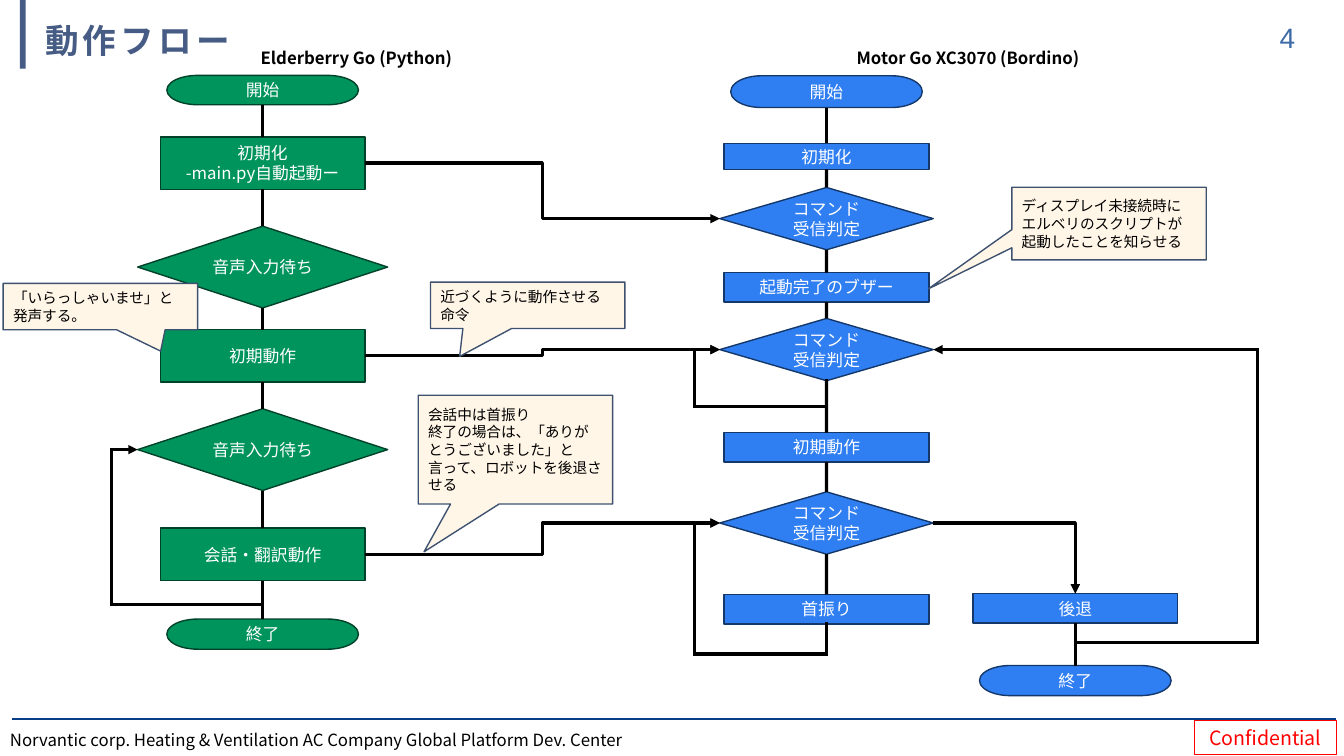
from dataclasses import dataclass
from itertools import pairwise

from lxml.etree import SubElement
from pptx import Presentation
from pptx.dml.color import RGBColor
from pptx.enum.shapes import MSO_CONNECTOR as Link, MSO_SHAPE as Shape
from pptx.enum.text import MSO_ANCHOR as Anchor, PP_ALIGN as Align
from pptx.oxml.ns import qn
from pptx.util import Cm, Pt


@dataclass(frozen=True)
class Theme:
    heading_font: str = "Arial"
    body_font: str = "Noto Sans CJK JP"
    title: str = "475C84"
    accent_bar: str = "475C85"
    page: str = "3E6AA8"
    rule: str = "093D88"
    alert: str = "FF0000"
    ink: str = "000000"
    light: str = "FFFFFF"
    host: tuple = ("00945D", "004129")
    board: tuple = ("307FF2", "15386A")
    note: tuple = ("FFF6E8", "3E5270")
    title_size: float = 24
    page_size: float = 20
    stamp_size: float = 14
    text_size: float = 12
    note_size: float = 10.5
    flow_width: float = 2.25
    rule_width: float = 1.5
    outline_width: float = 1
    stamp_width: float = 0.75


THEME = Theme()
TOP, LEFT, BOTTOM, RIGHT = range(4)
HOST_X, BOARD_X, RETREAT_X = 6.62, 20.83, 27.1
TERMINAL_W, STEP_W, HOST_CHECK_W, BOARD_CHECK_W = 4.83, 5.16, 6.3, 5.38
HOST_STEP_H, HOST_CHECK_H, BOARD_STEP_H, BOARD_CHECK_H = 1.32, 2.06, 0.74, 1.57


def color(code):
    return RGBColor.from_string(code)


def write(frame, text, size, ink, font=THEME.body_font, bold=False, align=Align.LEFT):
    frame.word_wrap = True
    frame.text = text
    for paragraph in frame.paragraphs:
        paragraph.alignment = align
        for run in paragraph.runs:
            run.font.name = font
            run.font.size = Pt(size)
            run.font.bold = bold
            run.font.color.rgb = color(ink)
            SubElement(run.font._element, qn("a:ea"), typeface=font)


def add_label(slide, box, text, size, ink, **style):
    label = slide.shapes.add_textbox(*map(Cm, box))
    write(label.text_frame, text, size, ink, **style)


def add_box(slide, kind, box, fill=None, outline=None, width=THEME.outline_width):
    """Add a flat shape; fill or outline left as None is not painted."""
    shape = slide.shapes.add_shape(kind, *map(Cm, box))
    shape.shadow.inherit = False
    if fill:
        shape.fill.solid()
        shape.fill.fore_color.rgb = color(fill)
    else:
        shape.fill.background()
    if outline:
        shape.line.color.rgb = color(outline)
        shape.line.width = Pt(width)
    else:
        shape.line.fill.background()
    shape.text_frame.vertical_anchor = Anchor.MIDDLE
    return shape


def add_node(slide, kind, palette, center_x, center_y, width, height, text):
    box = (center_x - width / 2, center_y - height / 2, width, height)
    node = add_box(slide, kind, box, *palette)
    write(node.text_frame, text, THEME.text_size, THEME.light, align=Align.CENTER)
    return node


def add_callout(slide, box, tip, text):
    callout = add_box(slide, Shape.RECTANGULAR_CALLOUT, box, *THEME.note)
    callout.adjustments[0], callout.adjustments[1] = tip
    write(callout.text_frame, text, THEME.note_size, THEME.ink)


def add_line(slide, start, end, kind=Link.STRAIGHT, ink=THEME.ink,
             width=THEME.flow_width, arrow=False):
    line = slide.shapes.add_connector(kind, *map(Cm, (*start, *end)))
    line.line.color.rgb = color(ink)
    line.line.width = Pt(width)
    if arrow:
        SubElement(line.line._get_or_add_ln(), qn("a:tailEnd"), type="triangle")
    SubElement(line._element.spPr, qn("a:effectLst"))
    return line


def join(slide, source, source_side, target, target_side, kind=Link.STRAIGHT, arrow=False):
    line = add_line(slide, (0, 0), (1, 1), kind, arrow=arrow)
    line.begin_connect(source, source_side)
    line.end_connect(target, target_side)
    return line


def chain(slide, nodes):
    for upper, lower in pairwise(nodes):
        join(slide, upper, BOTTOM, lower, TOP)


def add_loop(slide, *points):
    """Draw a right-angled return path with an arrow on its last leg."""
    legs = list(pairwise(points))
    for start, end in legs[:-1]:
        leg = add_line(slide, start, end)
        leg.line._get_or_add_ln().set("cap", "sq")
    add_line(slide, *legs[-1], arrow=True)


def add_frame(slide):
    add_box(slide, Shape.RECTANGLE, (0.5, 0, 0.15, 1.73), THEME.accent_bar)
    add_label(slide, (31.37, 0.4, 1.52, 1.12), "4", THEME.page_size, THEME.page,
              font=THEME.heading_font, align=Align.RIGHT)
    add_label(slide, (0, 18.26, 21.29, 0.76),
              "Norvantic corp. Heating & Ventilation AC Company Global Platform Dev. Center",
              THEME.text_size, THEME.ink)
    add_line(slide, (0.3, 18.11), (33.68, 18.11), ink=THEME.rule, width=THEME.rule_width)
    stamp = add_box(slide, Shape.RECTANGLE, (30.1, 18.16, 3.58, 0.86),
                    outline=THEME.alert, width=THEME.stamp_width)
    write(stamp.text_frame, "Confidential", THEME.stamp_size, THEME.alert, align=Align.CENTER)


def set_title(slide, text):
    title = slide.shapes.title
    title.left, title.top, title.width, title.height = map(Cm, (0.89, 0.41, 29.21, 1.32))
    frame = title.text_frame
    write(frame, text, THEME.title_size, THEME.title, THEME.heading_font, bold=True)
    frame.vertical_anchor = Anchor.MIDDLE
    frame.margin_left = Cm(0.25)
    frame.margin_top = frame.margin_right = frame.margin_bottom = 0
    frame.paragraphs[0].line_spacing = 0.9
    frame.paragraphs[0].runs[0].font._element.set("spc", "300")


def add_host_flow(slide):
    terminal = (Shape.FLOWCHART_TERMINATOR, TERMINAL_W)
    step = (Shape.FLOWCHART_PROCESS, STEP_W)
    check = (Shape.FLOWCHART_DECISION, HOST_CHECK_W)
    stages = [
        (terminal, 2.27, 0.74, "開始"),
        (step, 4.11, HOST_STEP_H, "初期化\n-main.py自動起動ー"),
        (check, 6.73, HOST_CHECK_H, "音声入力待ち"),
        (step, 8.97, HOST_STEP_H, "初期動作"),
        (check, 11.33, HOST_CHECK_H, "音声入力待ち"),
        (step, 13.97, HOST_STEP_H, "会話・翻訳動作"),
        (terminal, 15.98, 0.76, "終了"),
    ]
    nodes = [add_node(slide, kind, THEME.host, HOST_X, y, width, height, text)
             for (kind, width), y, height, text in stages]
    chain(slide, nodes)
    add_loop(slide, (HOST_X, 15.24), (2.82, 15.24), (2.82, 11.33),
             (HOST_X - HOST_CHECK_W / 2, 11.33))
    return nodes[1::2]


def add_board_flow(slide):
    terminal = (Shape.FLOWCHART_TERMINATOR, TERMINAL_W)
    step = (Shape.FLOWCHART_PROCESS, STEP_W)
    check = (Shape.FLOWCHART_DECISION, BOARD_CHECK_W)
    received = "コマンド\n受信判定"
    stages = [
        (terminal, BOARD_X, 2.31, 0.8, "開始"),
        (step, BOARD_X, 3.94, 0.66, "初期化"),
        (check, BOARD_X, 5.51, BOARD_CHECK_H, received),
        (step, BOARD_X, 7.24, BOARD_STEP_H, "起動完了のブザー"),
        (check, BOARD_X, 8.81, BOARD_CHECK_H, received),
        (step, BOARD_X, 11.27, BOARD_STEP_H, "初期動作"),
        (check, BOARD_X, 13.18, BOARD_CHECK_H, received),
        (step, BOARD_X, 15.35, BOARD_STEP_H, "首振り"),
        (step, RETREAT_X, 15.33, BOARD_STEP_H, "後退"),
        (terminal, RETREAT_X, 17.15, 0.76, "終了"),
    ]
    nodes = [add_node(slide, kind, THEME.board, x, y, width, height, text)
             for (kind, width), x, y, height, text in stages]
    main_flow, retreat_flow = nodes[:8], nodes[8:]
    chain(slide, main_flow)
    chain(slide, retreat_flow)
    checks = main_flow[2::2]
    turn = join(slide, checks[-1], RIGHT, retreat_flow[0], TOP, Link.ELBOW, arrow=True)
    turn._element.spPr.find(qn("a:prstGeom")).set("prst", "bentConnector2")

    check_left, check_right = BOARD_X - BOARD_CHECK_W / 2, BOARD_X + BOARD_CHECK_W / 2
    for start_y, bottom_y, check_y in ((9.6, 10.24, 8.81), (15.72, 16.48, 13.18)):
        add_loop(slide, (BOARD_X, start_y), (BOARD_X, bottom_y), (17.5, bottom_y),
                 (17.5, check_y), (check_left, check_y))
    add_loop(slide, (RETREAT_X, 16.2), (31.7, 16.2), (31.7, 8.81), (check_right, 8.81))
    return checks


def main():
    deck = Presentation()
    deck.slide_width, deck.slide_height = Cm(33.87), Cm(19.05)
    slide = deck.slides.add_slide(deck.slide_layouts[5])
    add_frame(slide)
    set_title(slide, "動作フロー")
    for x, width, heading in ((6.32, 5.9, "Elderberry Go (Python)"),
                              (21.34, 7.39, "Motor Go XC3070 (Bordino)")):
        add_label(slide, (x, 1.07, width, 0.76), heading, THEME.text_size, THEME.ink, bold=True)

    for command, check in zip(add_host_flow(slide), add_board_flow(slide)):
        join(slide, command, RIGHT, check, LEFT, Link.ELBOW, arrow=True)

    for box, tip, text in (
        ((25.5, 4.72, 4.9, 1.83), (-0.93, 0.9),
         "ディスプレイ未接続時に\nエルベリのスクリプトが起動したことを知らせる"),
        ((10.85, 7.11, 4.9, 1.17), (-0.35, 1.1), "近づくように動作させる命令"),
        ((0.08, 7.14, 4.9, 1.17), (0.31, 0.96), "「いらっしゃいませ」と発声する。"),
        ((10.54, 9.96, 4.9, 2.74), (-0.47, 0.94),
         "会話中は首振り\n終了の場合は、「ありがとうございました」と言って、ロボットを後退させる"),
    ):
        add_callout(slide, box, tip, text)
    deck.save("out.pptx")


if __name__ == "__main__":
    main()
